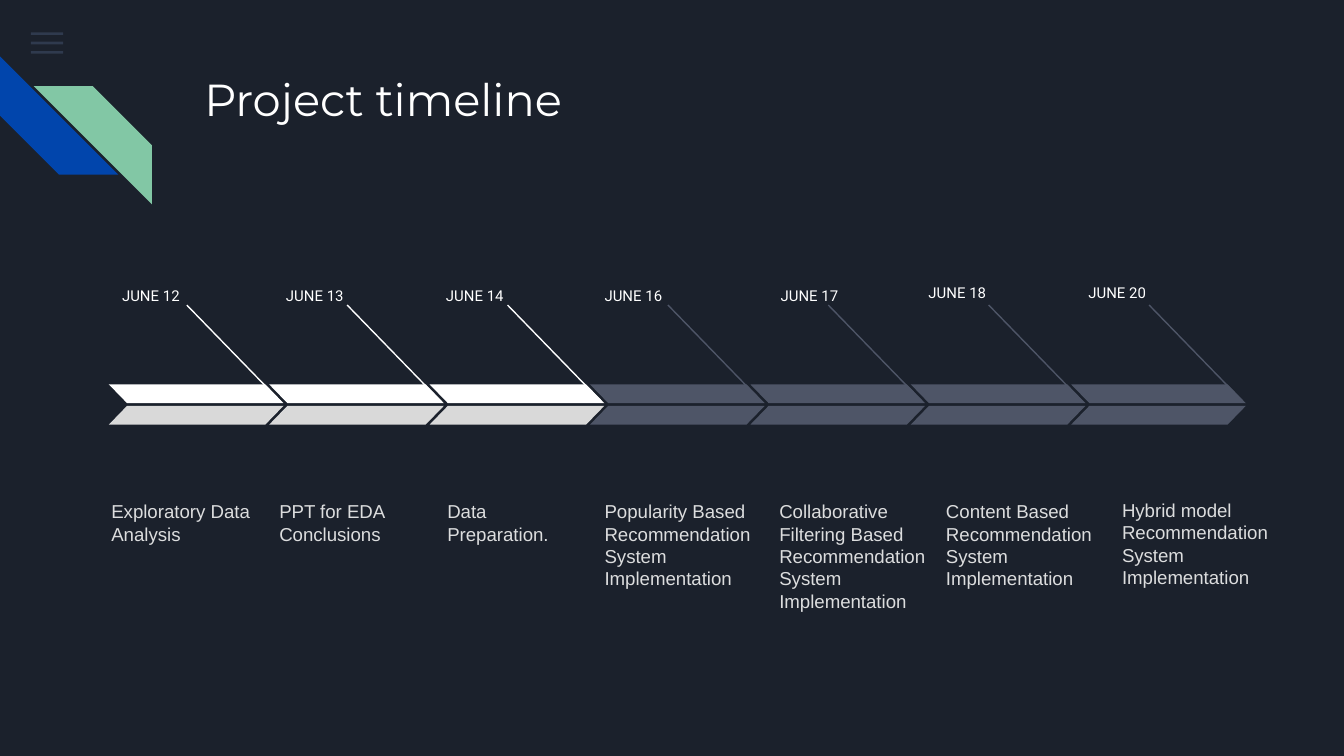
from lxml import etree
from pptx import Presentation
from pptx.dml.color import RGBColor
from pptx.enum.shapes import MSO_CONNECTOR, MSO_SHAPE
from pptx.enum.text import MSO_ANCHOR, MSO_AUTO_SIZE, PP_ALIGN
from pptx.oxml.ns import qn
from pptx.util import Inches, Pt

RECTANGLE = MSO_SHAPE.RECTANGLE
STRIPE = MSO_SHAPE.DIAGONAL_STRIPE
PARALLELOGRAM = MSO_SHAPE.PARALLELOGRAM
STRAIGHT = MSO_CONNECTOR.STRAIGHT
TOP, LEFT = MSO_ANCHOR.TOP, PP_ALIGN.LEFT
NO_AUTOFIT = MSO_AUTO_SIZE.NONE

# Widescreen slide, 16:9
SLIDE_WIDTH = 10
SLIDE_HEIGHT = SLIDE_WIDTH * 9 / 16

COLORS = {
    "background": "1B212C",
    "menu": "55688B",
    "blue": "0145AC",
    "green": "82C7A5",
    "white": "FFFFFF",
    "done_shade": "D9D9D9",
    "pending": "4E5567",
    "label": "DCDDDE",
}

# Chevron grid
FIRST_LEFT, LAST_LEFT = 0.81, 7.97
BAND_TOP, BAND_WIDTH, BAND_HEIGHT, BAND_GAP = 2.86, 1.3, 0.14, 0.16
DONE_COUNT = 3

# Date, (date left, top), task, (task left, top), task width and line count
MILESTONES = [
    ("JUNE 12", (0.81, 2.03), "Exploratory Data Analysis", (0.73, 3.62), 1.28, 2),
    ("JUNE 13", (2.03, 2.03), "PPT for EDA Conclusions", (1.98, 3.62), 1.24, 2),
    ("JUNE 14", (3.22, 2.03), "Data Preparation.", (3.23, 3.62), 1.24, 2),
    ("JUNE 16", (4.4, 2.03),
     "Popularity Based Recommendation System Implementation", (4.4, 3.62), 1.31, 4),
    ("JUNE 17", (5.71, 2.03),
     "Collaborative Filtering Based Recommendation System Implementation",
     (5.7, 3.62), 1.31, 5),
    ("JUNE 18", (6.81, 2.01),
     "Content Based Recommendation System Implementation", (6.94, 3.62), 1.31, 4),
    ("JUNE 20", (8, 2.01),
     "Hybrid model Recommendation System Implementation", (8.25, 3.61), 1.31, 4),
]
STEP = (LAST_LEFT - FIRST_LEFT) / (len(MILESTONES) - 1)


def rgb(name):
    return RGBColor.from_string(COLORS[name])


def add_block(slide, preset, left, top, width, height, color,
              adjustment=None, flipped=False):
    block = slide.shapes.add_shape(
        preset, Inches(left), Inches(top), Inches(width), Inches(height))
    block.shadow.inherit = False
    block.fill.solid()
    block.fill.fore_color.rgb = rgb(color)
    block.line.fill.background()
    if adjustment is not None:
        block.adjustments[0] = adjustment
    if flipped:
        block._element.spPr.find(qn("a:xfrm")).set("flipH", "1")
    return block


def format_text(frame, text, size, font, color, wrap=True):
    frame.margin_left = frame.margin_right = Inches(0.1)
    frame.margin_top = frame.margin_bottom = Inches(0.1)
    frame.auto_size = NO_AUTOFIT
    frame.word_wrap = wrap
    frame.vertical_anchor = TOP
    frame.text = text
    paragraph = frame.paragraphs[0]
    paragraph.alignment = LEFT
    paragraph.font.size = Pt(size)
    paragraph.font.name = font
    paragraph.font.color.rgb = rgb(color)
    return paragraph


def add_label(slide, position, width, height, text, size, font, color, wrap=True):
    left, top = position
    label = slide.shapes.add_textbox(
        Inches(left), Inches(top), Inches(width), Inches(height))
    return format_text(label.text_frame, text, size, font, color, wrap)


def add_leader(slide, left, color):
    leader = slide.shapes.add_connector(
        STRAIGHT, Inches(left + 0.58), Inches(2.27),
        Inches(left + 1.28), Inches(2.99))
    leader.line.color.rgb = rgb(color)
    leader.line.width = Pt(0.75)
    etree.SubElement(leader._element.spPr, qn("a:effectLst"))


def add_decoration(slide):
    # Menu icon
    for row in range(3):
        bar = add_block(slide, RECTANGLE, 0.23, 0.24 + 0.07 * row, 0.24, 0.02, "menu")
        fill_color = bar._element.spPr.find(qn("a:solidFill"))[0]
        etree.SubElement(fill_color, qn("a:alpha"), val="36000")
    # Corner stripes
    blue_stripe = add_block(slide, STRIPE, 0, 0.42, 0.88, 0.88, "blue", 0.5)
    blue_stripe.rotation = 270
    add_block(slide, STRIPE, 0.25, 0.64, 0.88, 0.88, "green", 0.5, flipped=True)


def add_title(slide):
    title = slide.shapes.title
    title.left, title.top = Inches(1.42), Inches(0.43)
    title.width, title.height = Inches(7.7), Inches(1)
    format_text(title.text_frame, "Project timeline", 24, "Montserrat", "white")


def add_chevron(slide, left, upper, lower):
    add_leader(slide, left, upper)
    add_block(slide, PARALLELOGRAM, left, BAND_TOP, BAND_WIDTH, BAND_HEIGHT,
              upper, 0.97, flipped=True)
    add_block(slide, PARALLELOGRAM, left, BAND_TOP + BAND_GAP, BAND_WIDTH,
              BAND_HEIGHT, lower, 0.97)


def add_timeline(slide):
    for column, milestone in enumerate(MILESTONES):
        date, date_at, task, task_at, task_width, lines = milestone
        add_label(slide, date_at, 0.7, 0.23, date, 8, "Roboto", "white", wrap=False)
        description = add_label(slide, task_at, task_width, 0.2 + 0.17 * lines,
                                task, 10, "Arial", "label")
        description.space_after = Pt(16)
        done = column < DONE_COUNT
        add_chevron(slide, FIRST_LEFT + STEP * column,
                    "white" if done else "pending",
                    "done_shade" if done else "pending")


def main():
    deck = Presentation()
    deck.slide_width, deck.slide_height = Inches(SLIDE_WIDTH), Inches(SLIDE_HEIGHT)
    slide = deck.slides.add_slide(deck.slide_layouts.get_by_name("Title Only"))
    slide.background.fill.solid()
    slide.background.fill.fore_color.rgb = rgb("background")
    add_decoration(slide)
    add_title(slide)
    add_timeline(slide)
    deck.save("out.pptx")


if __name__ == "__main__":
    main()
